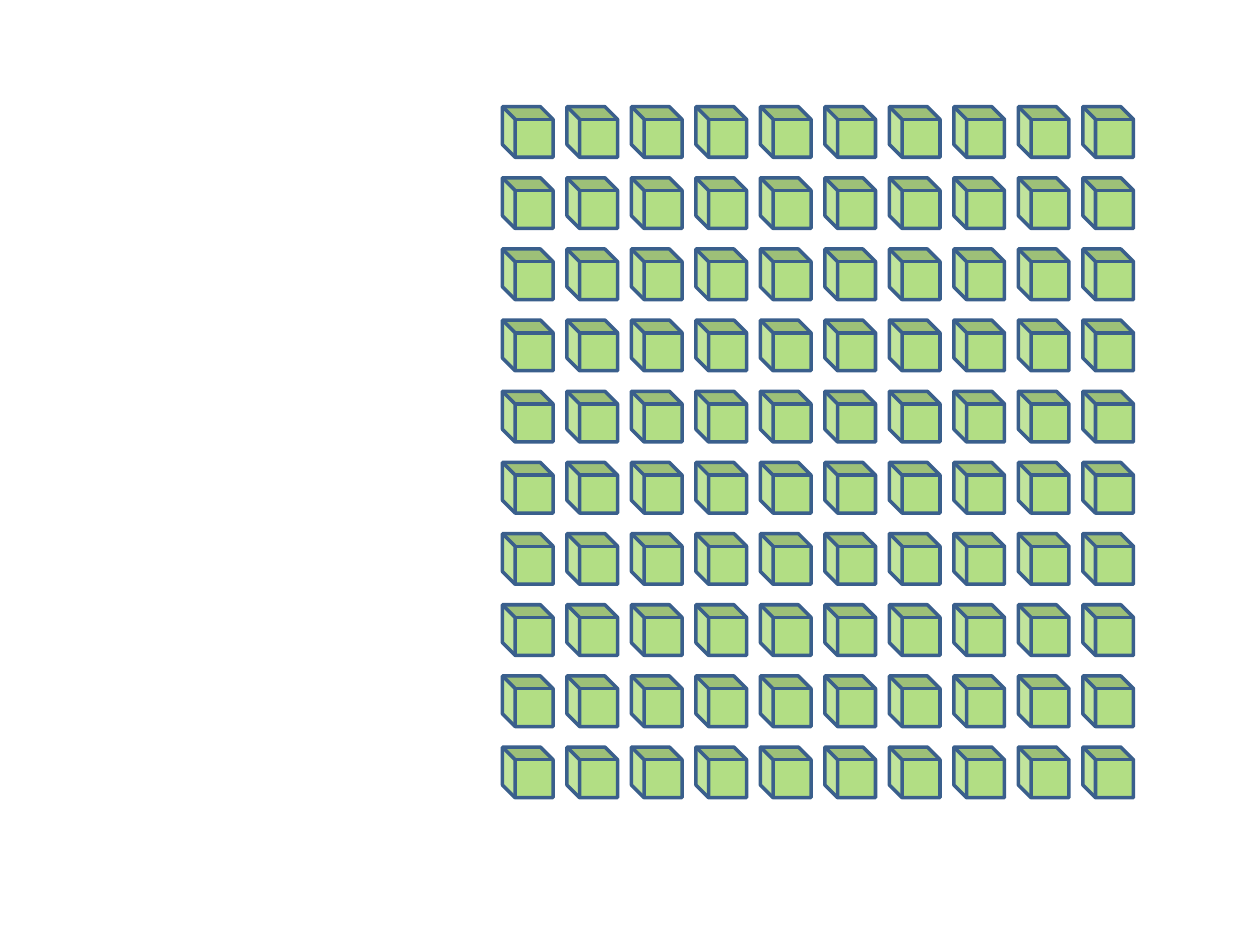
"""Build a slide with a ten by ten grid of translucent green cubes."""
import pptx
import pptx.util
import pptx.dml.color
import pptx.enum.shapes
import pptx.oxml.ns
from lxml import etree
from pptx.util import Cm

COLORS = {"cube": "92D050", "edge": "3A5F8C"}
OPACITY = 70
COUNT = 10
FIRST = (10.13, 2.15)
LAST = (21.83, 15.06)
SIZE = 1.02
ROW_ORDER = [*range(2, COUNT), 0, 1]


def rgb(name):
    return pptx.dml.color.RGBColor.from_string(COLORS[name])


def add_cube(s, x, y):
    sp = s.shapes.add_shape(pptx.enum.shapes.MSO_SHAPE.CUBE,
                            Cm(x), Cm(y), Cm(SIZE), Cm(SIZE))
    sp.rotation = 270
    sp.shadow.inherit = False
    sp.fill.solid()
    sp.fill.fore_color.rgb = rgb("cube")
    color = sp.fill._xPr.find(".//" + pptx.oxml.ns.qn("a:srgbClr"))
    etree.SubElement(color, pptx.oxml.ns.qn("a:alpha"), val=str(OPACITY * 1000))
    sp.line.color.rgb = rgb("edge")
    sp.line.width = pptx.util.Pt(2)


prs = pptx.Presentation()
prs.slide_width, prs.slide_height = Cm(25.4), Cm(19.05)
s = prs.slides.add_slide(prs.slide_layouts[6])

step_x, step_y = ((b - a) / (COUNT - 1) for a, b in zip(FIRST, LAST))
for row in ROW_ORDER:
    for col in range(COUNT):
        add_cube(s, FIRST[0] + col * step_x, FIRST[1] + row * step_y)

prs.save("out.pptx")
